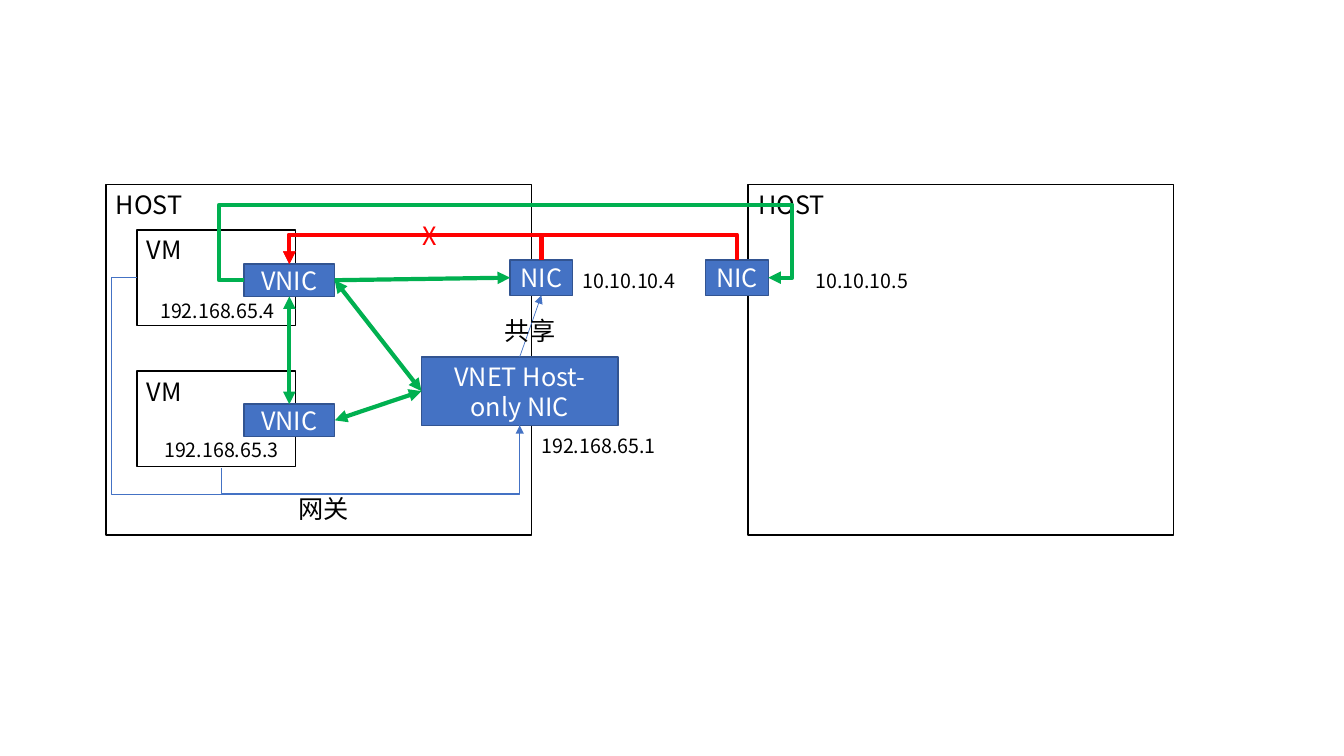
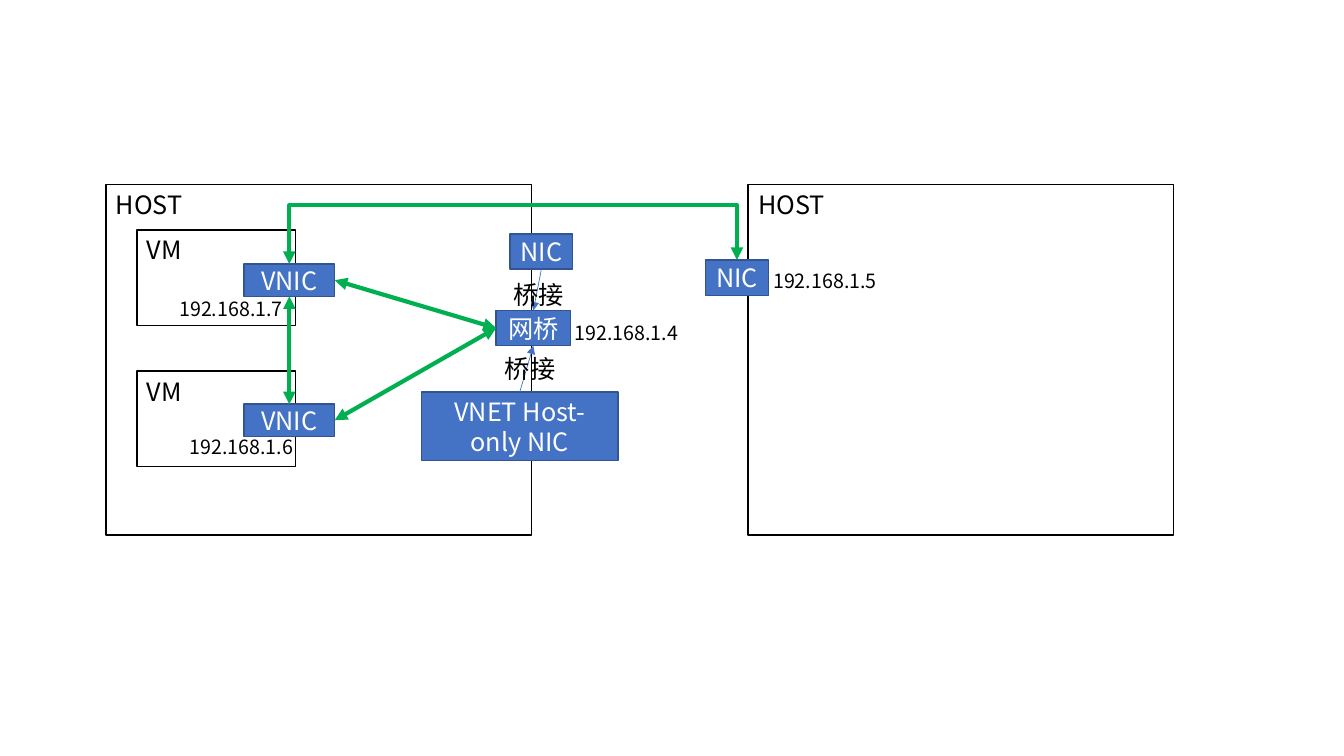
from dataclasses import dataclass, replace
from enum import IntEnum
from typing import NamedTuple, Optional

from lxml.etree import SubElement
from pptx import Presentation
from pptx.dml.color import RGBColor
from pptx.enum.shapes import MSO_CONNECTOR, MSO_SHAPE
from pptx.enum.text import MSO_ANCHOR, MSO_AUTO_SIZE, PP_ALIGN
from pptx.oxml.ns import qn
from pptx.shapes.autoshape import Shape
from pptx.slide import Slide
from pptx.text.text import TextFrame
from pptx.util import Inches, Pt

# Shared style
COLORS = {
    "paper": "FFFFFF",
    "ink": "000000",
    "card": "4472C4",
    "card_edge": "325491",
    "allowed": "00B050",
    "blocked": "FF0000",
}
FONT = "Noto Sans CJK SC"
NAME_SIZE, ADDRESS_SIZE = 18, 14


class Side(IntEnum):
    """Connection sites of a rectangle."""
    TOP = 0
    LEFT = 1
    BOTTOM = 2
    RIGHT = 3


class Dock(NamedTuple):
    """A wire end: a side of a named box, or a free point in inches."""
    box: str
    side: Side
    point: Optional[tuple[float, float]] = None


@dataclass(frozen=True)
class Box:
    left: float
    top: float
    width: float
    height: float
    text: str
    is_card: bool = True


@dataclass(frozen=True)
class Wire:
    start: Dock
    end: Dock
    color: str = "allowed"
    weight: float = 3
    lanes: tuple[float, ...] = ()
    arrow_at_start: bool = False
    arrow_at_end: bool = True


@dataclass(frozen=True)
class Label:
    left: float
    top: float
    width: float
    text: str
    size: int = NAME_SIZE
    color: str = "ink"


def rgb(name: str) -> RGBColor:
    return RGBColor.from_string(COLORS[name])


def write(frame: TextFrame, text: str, size: int, color: str) -> None:
    frame.word_wrap = True
    frame.text = text
    for run in frame.paragraphs[0].runs:
        run.font.name = FONT
        run.font.size = Pt(size)
        run.font.color.rgb = rgb(color)
        SubElement(run.font._element, qn("a:ea"), typeface=FONT)


def draw_box(slide: Slide, box: Box) -> Shape:
    shape = slide.shapes.add_shape(
        MSO_SHAPE.RECTANGLE, Inches(box.left), Inches(box.top),
        Inches(box.width), Inches(box.height))
    shape.shadow.inherit = False
    shape.fill.solid()
    shape.fill.fore_color.rgb = rgb("card" if box.is_card else "paper")
    shape.line.color.rgb = rgb("card_edge" if box.is_card else "ink")
    shape.line.width = Pt(1)
    frame = shape.text_frame
    write(frame, box.text, NAME_SIZE, "paper" if box.is_card else "ink")
    frame.vertical_anchor = MSO_ANCHOR.MIDDLE if box.is_card else MSO_ANCHOR.TOP
    frame.paragraphs[0].alignment = PP_ALIGN.CENTER if box.is_card else PP_ALIGN.LEFT
    return shape


def draw_label(slide: Slide, label: Label) -> None:
    height = 0.4 if label.size == NAME_SIZE else 0.34
    note = slide.shapes.add_textbox(
        Inches(label.left), Inches(label.top), Inches(label.width), Inches(height))
    write(note.text_frame, label.text, label.size, label.color)
    note.text_frame.auto_size = MSO_AUTO_SIZE.SHAPE_TO_FIT_TEXT


def locate(dock: Dock, shapes: dict[str, Shape]) -> tuple[int, int]:
    if dock.point:
        return Inches(dock.point[0]), Inches(dock.point[1])
    shape = shapes[dock.box]
    across = {Side.LEFT: 0, Side.RIGHT: 2}.get(dock.side, 1)
    down = {Side.TOP: 0, Side.BOTTOM: 2}.get(dock.side, 1)
    return (shape.left + shape.width * across // 2,
            shape.top + shape.height * down // 2)


def draw_wire(slide: Slide, wire: Wire, shapes: dict[str, Shape]) -> None:
    start, end = locate(wire.start, shapes), locate(wire.end, shapes)
    kind = MSO_CONNECTOR.ELBOW if wire.lanes else MSO_CONNECTOR.STRAIGHT
    link = slide.shapes.add_connector(kind, *start, *end)
    if not wire.start.point:
        link.begin_connect(shapes[wire.start.box], int(wire.start.side))
    if not wire.end.point:
        link.end_connect(shapes[wire.end.box], int(wire.end.side))
    properties = link._element.spPr
    if wire.lanes:
        bend(link, wire, start, end)

    # Stroke and arrowheads
    link.line.color.rgb = rgb(wire.color)
    link.line.width = Pt(wire.weight)
    stroke = properties.find(qn("a:ln"))
    for tag, shown in (("a:headEnd", wire.arrow_at_start),
                       ("a:tailEnd", wire.arrow_at_end)):
        if shown:
            SubElement(stroke, qn(tag), type="triangle")
    SubElement(properties, qn("a:effectLst"))


def bend(link, wire: Wire, start: tuple[int, int], end: tuple[int, int]) -> None:
    """Route an elbow through lanes that alternate between the two axes."""
    span = (end[0] - start[0], end[1] - start[1])
    first_axis = 1 if wire.start.side in (Side.TOP, Side.BOTTOM) else 0
    along, aside = span[first_axis], span[1 - first_axis]
    link.width, link.height = abs(along), abs(aside)
    link.left = (start[0] + end[0] - abs(along)) // 2
    link.top = (start[1] + end[1] - abs(aside)) // 2
    properties = link._element.spPr
    frame = properties.find(qn("a:xfrm"))
    flip_aside = aside > 0 if first_axis else aside < 0
    frame.set("rot", str(90 * 60000 * first_axis))
    frame.set("flipH", str(int(along < 0)))
    frame.set("flipV", str(int(flip_aside)))

    geometry = properties.find(qn("a:prstGeom"))
    geometry.set("prst", f"bentConnector{len(wire.lanes) + 2}")
    guides = geometry.find(qn("a:avLst"))
    for index, lane in enumerate(wire.lanes):
        axis = (first_axis + index) % 2
        share = round((Inches(lane) - start[axis]) / span[axis] * 100000)
        SubElement(guides, qn("a:gd"), name=f"adj{index + 1}", fmla=f"val {share}")


def draw_network(deck, boxes: dict[str, Box], wires: list[Wire],
                 labels: list[Label]) -> None:
    slide = deck.slides.add_slide(deck.slide_layouts[6])
    shapes = {name: draw_box(slide, box) for name, box in boxes.items()}
    for wire in wires:
        draw_wire(slide, wire, shapes)
    for label in labels:
        draw_label(slide, label)


def address(left: float, top: float, width: float, text: str) -> Label:
    return Label(left, top, width, text, ADDRESS_SIZE)


def thin(start: Dock, end: Dock, **options) -> Wire:
    return Wire(start, end, "card", 0.5, **options)


def both_ways(start: Dock, end: Dock, **options) -> Wire:
    return Wire(start, end, arrow_at_start=True, **options)


# Machines and cards on both slides
HOST = Box(1.05, 1.83, 4.22, 3.48, "HOST", is_card=False)
NIC = Box(5.06, 2.58, 0.62, 0.35, "NIC")
VM = Box(1.36, 2.28, 1.57, 0.95, "VM", is_card=False)
VNIC = Box(2.42, 2.62, 0.9, 0.32, "VNIC")
SHARED_BOXES = {
    "host": HOST,
    "peer_host": replace(HOST, left=7.42),
    "nic": NIC,
    "peer_nic": replace(NIC, left=7),
    "vm_a": VM,
    "vnic_a": VNIC,
    "host_only": Box(4.18, 3.54, 1.95, 0.68, "VNET Host-only NIC"),
    "vm_b": replace(VM, top=3.68),
    "vnic_b": replace(VNIC, top=4.01),
}
VNIC_A_TOP = Dock("vnic_a", Side.TOP)
VNIC_A_RIGHT = Dock("vnic_a", Side.RIGHT)
VNIC_B_RIGHT = Dock("vnic_b", Side.RIGHT)
PEER_NIC_TOP = Dock("peer_nic", Side.TOP)
HOST_ONLY_TOP = Dock("host_only", Side.TOP)
HOST_ONLY_LEFT = Dock("host_only", Side.LEFT)
HOST_ONLY_BOTTOM = Dock("host_only", Side.BOTTOM)
BRIDGE_LEFT = Dock("bridge", Side.LEFT)
BETWEEN_VMS = both_ways(Dock("vnic_a", Side.BOTTOM), Dock("vnic_b", Side.TOP))
OUTER_LANE, BLOCKED_LANE = 2.04, 2.33

deck = Presentation()
deck.slide_width, deck.slide_height = Inches(13.33), Inches(7.5)

# Slide 1: shared connection through the host-only card
draw_network(
    deck,
    SHARED_BOXES,
    [
        Wire(VNIC_A_RIGHT, Dock("nic", Side.LEFT)),
        both_ways(VNIC_A_RIGHT, HOST_ONLY_LEFT),
        both_ways(VNIC_B_RIGHT, HOST_ONLY_LEFT),
        BETWEEN_VMS,
        Wire(VNIC_A_TOP, PEER_NIC_TOP, "blocked", lanes=(BLOCKED_LANE,),
             arrow_at_start=True, arrow_at_end=False),
        thin(HOST_ONLY_TOP, Dock("nic", Side.BOTTOM)),
        Wire(Dock("vnic_a", Side.LEFT), Dock("peer_nic", Side.RIGHT),
             lanes=(2.17, OUTER_LANE, 7.86)),
        Wire(Dock("nic", Side.TOP), VNIC_A_TOP, "blocked", lanes=(BLOCKED_LANE,)),
        thin(HOST_ONLY_BOTTOM, Dock("vm_b", Side.BOTTOM, (2.2, 4.64)),
             lanes=(4.89,), arrow_at_start=True, arrow_at_end=False),
        thin(HOST_ONLY_BOTTOM, Dock("vm_a", Side.LEFT),
             lanes=(4.9, 1.11), arrow_at_end=False),
    ],
    [
        Label(4.09, 2.14, 0.33, "X", color="blocked"),
        Label(4.91, 3.08, 0.75, "共享"),
        address(5.68, 2.62, 1.36, "10.10.10.4"),
        address(7.99, 2.62, 1.36, "10.10.10.5"),
        address(5.27, 4.26, 1.36, "192.168.65.1"),
        address(1.53, 4.3, 1.36, "192.168.65.3"),
        address(1.49, 2.92, 1.36, "192.168.65.4"),
        Label(2.86, 4.84, 0.9, "网关"),
    ],
)

# Slide 2: both host cards joined by a bridge
draw_network(
    deck,
    SHARED_BOXES | {
        "nic": replace(NIC, top=2.32),
        "host_only": replace(SHARED_BOXES["host_only"], top=3.89),
        "bridge": Box(4.92, 3.08, 0.74, 0.35, "网桥"),
    },
    [
        both_ways(VNIC_A_RIGHT, BRIDGE_LEFT),
        both_ways(VNIC_B_RIGHT, BRIDGE_LEFT),
        BETWEEN_VMS,
        both_ways(VNIC_A_TOP, PEER_NIC_TOP, lanes=(OUTER_LANE,)),
        thin(HOST_ONLY_TOP, Dock("bridge", Side.BOTTOM)),
        thin(Dock("nic", Side.BOTTOM), Dock("bridge", Side.TOP)),
    ],
    [
        Label(4.99, 2.72, 0.95, "桥接"),
        Label(4.91, 3.46, 0.95, "桥接"),
        address(5.6, 3.13, 1.55, "192.168.1.4"),
        address(7.57, 2.62, 1.55, "192.168.1.5"),
        address(1.78, 4.27, 1.55, "192.168.1.6"),
        address(1.68, 2.9, 1.55, "192.168.1.7"),
    ],
)

deck.save("out.pptx")
